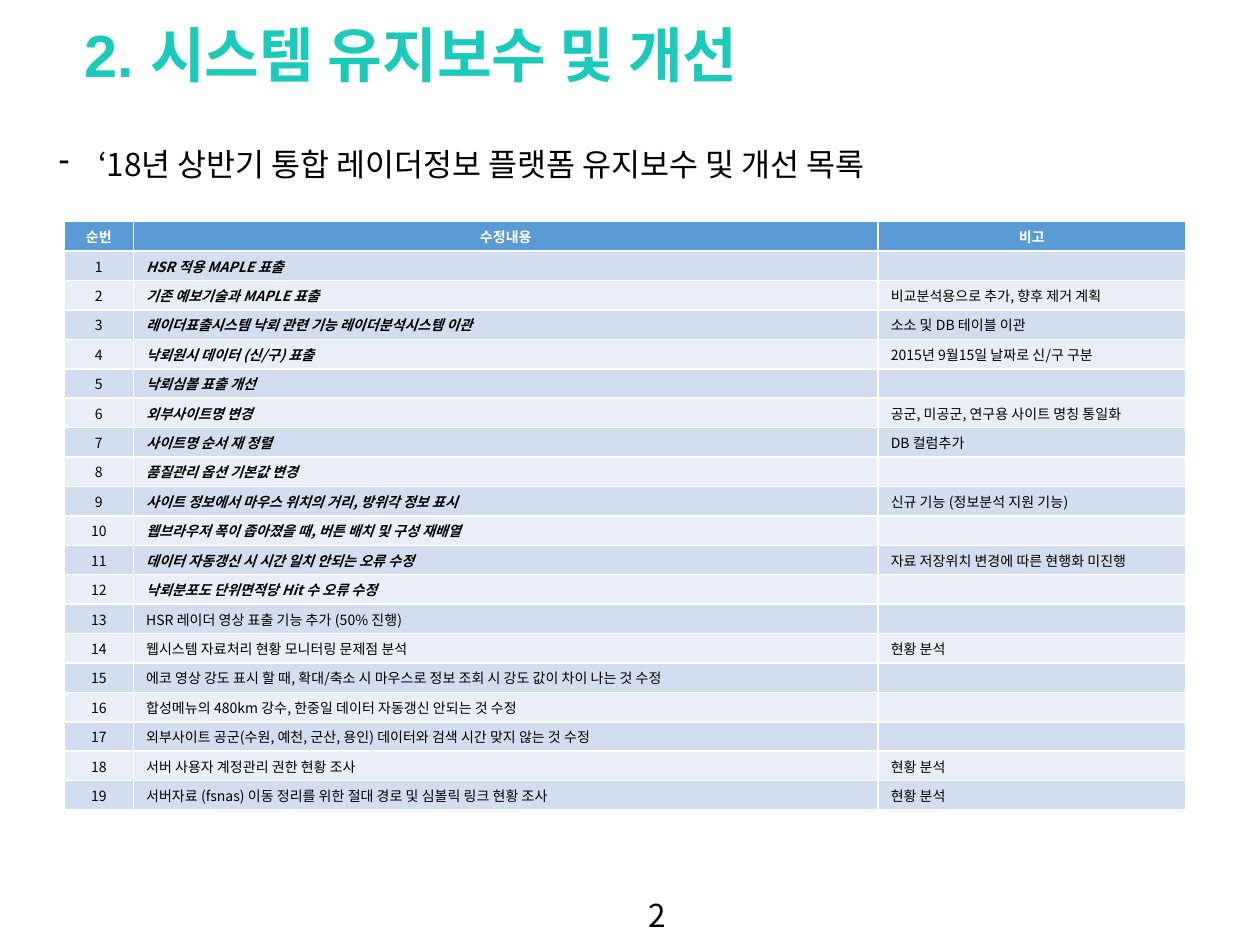
import lxml.etree
import pptx
import pptx.dml.color
import pptx.enum.text
import pptx.oxml.ns
import pptx.util

THEME = {
    "title": "1CCAB9", "text": "000000", "header_text": "FFFFFF",
    "header": "5B9BD5", "bands": ("EAEFF7", "D2DEEF"),
    "title_font": "Arial", "font": "Noto Sans CJK KR",
    "title_size": 34, "body_size": 18, "table_size": 8,
}
LEFT = pptx.enum.text.PP_ALIGN.LEFT
CENTER = pptx.enum.text.PP_ALIGN.CENTER
MIDDLE = pptx.enum.text.MSO_ANCHOR.MIDDLE

HEADINGS = ("순번", "수정내용", "비고")
# Content and remark; the first FINISHED items are emphasised.
ITEMS = [
    ("HSR 적용 MAPLE 표출", ""),
    ("기존 예보기술과 MAPLE 표출", "비교분석용으로 추가, 향후 제거 계획"),
    ("레이더표출시스템 낙뢰 관련 기능 레이더분석시스템 이관", "소소 및 DB 테이블 이관"),
    ("낙뢰원시 데이터 (신/구) 표출", "2015년 9월15일 날짜로 신/구 구분"),
    ("낙뢰심볼 표출 개선", ""),
    ("외부사이트명 변경", "공군, 미공군, 연구용 사이트 명칭 통일화"),
    ("사이트명 순서 재 정렬", "DB 컬럼추가"),
    ("품질관리 옵션 기본값 변경", ""),
    ("사이트 정보에서 마우스 위치의 거리, 방위각 정보 표시", "신규 기능 (정보분석 지원 기능)"),
    ("웹브라우저 폭이 좁아졌을 때, 버튼 배치 및 구성 재배열", ""),
    ("데이터 자동갱신 시 시간 일치 안되는 오류 수정", "자료 저장위치 변경에 따른 현행화 미진행"),
    ("낙뢰분포도 단위면적당 Hit 수 오류 수정", ""),
    ("HSR 레이더 영상 표출 기능 추가 (50% 진행)", ""),
    ("웹시스템 자료처리 현황 모니터링 문제점 분석", "현황 분석"),
    ("에코 영상 강도 표시 할 때, 확대/축소 시 마우스로 정보 조회 시 강도 값이 차이 나는 것 수정", ""),
    ("합성메뉴의 480km 강수, 한중일 데이터 자동갱신 안되는 것 수정", ""),
    ("외부사이트 공군(수원, 예천, 군산, 용인) 데이터와 검색 시간 맞지 않는 것 수정", ""),
    ("서버 사용자 계정관리 권한 현황 조사", "현황 분석"),
    ("서버자료 (fsnas) 이동 정리를 위한 절대 경로 및 심볼릭 링크 현황 조사", "현황 분석"),
]
FINISHED = 12


def write(frame, text, size, color, font=THEME["font"], bold=False, italic=False, align=LEFT):
    para = frame.paragraphs[0]
    para.text = text
    para.alignment = align
    para.font.size = pptx.util.Pt(size)
    para.font.bold = bold
    para.font.italic = italic
    para.font.name = font
    para.font.color.rgb = pptx.dml.color.RGBColor.from_string(color)
    return para


def add_text(left, top, width, height, text, size, color, **style):
    """Add a one-line text box and return its frame and paragraph."""
    box = page.shapes.add_textbox(*map(pptx.util.Inches, (left, top, width, height)))
    box.text_frame.word_wrap = True
    return box.text_frame, write(box.text_frame, text, size, color, **style)


deck = pptx.Presentation()
deck.slide_width = pptx.util.Inches(10)
deck.slide_height = pptx.util.Inches(7.5)
page = deck.slides.add_slide(deck.slide_layouts[6])

title_frame, _ = add_text(0.57, -0.01, 8.44, 0.88, "2. 시스템 유지보수 및 개선",
                          THEME["title_size"], THEME["title"],
                          font=THEME["title_font"], bold=True)
title_frame.vertical_anchor = MIDDLE

_, subtitle = add_text(0.37, 1.1, 7.37, 0.4, "‘18년 상반기 통합 레이더정보 플랫폼 유지보수 및 개선 목록",
                       THEME["body_size"], THEME["text"])
indent = pptx.util.Inches(0.31)
properties = subtitle._p.get_or_add_pPr()
properties.set("marL", str(indent))
properties.set("indent", str(-indent))
bullet = lxml.etree.Element(pptx.oxml.ns.qn("a:buChar"), char="-")
properties.insert(0, bullet)

row_count = len(ITEMS) + 1
table = page.shapes.add_table(row_count, len(HEADINGS), *map(
    pptx.util.Inches, (0.51, 1.76, 8.9, 4.67))).table
for column, width in zip(table.columns, (0.55, 5.91, 2.44)):
    column.width = pptx.util.Inches(width)
for row in table.rows:
    row.height = pptx.util.Inches(4.67 / row_count)

rows = [HEADINGS] + [(str(number), *item) for number, item in enumerate(ITEMS, 1)]
for row_index, texts in enumerate(rows):
    is_header = row_index == 0
    fill = THEME["header"] if is_header else THEME["bands"][row_index % 2]
    color = THEME["header_text"] if is_header else THEME["text"]
    for column_index, text in enumerate(texts):
        cell = table.cell(row_index, column_index)
        cell.fill.solid()
        cell.fill.fore_color.rgb = pptx.dml.color.RGBColor.from_string(fill)
        cell.margin_top = cell.margin_bottom = pptx.util.Inches(0.03)
        cell.vertical_anchor = MIDDLE
        emphasised = column_index == 1 and 1 <= row_index <= FINISHED
        write(cell.text_frame, text, THEME["table_size"], color,
              bold=is_header or emphasised, italic=emphasised,
              align=CENTER if is_header or column_index == 0 else LEFT)

add_text(5.05, 7.06, 0.34, 0.4, "2", THEME["body_size"], THEME["text"])

deck.save("out.pptx")
